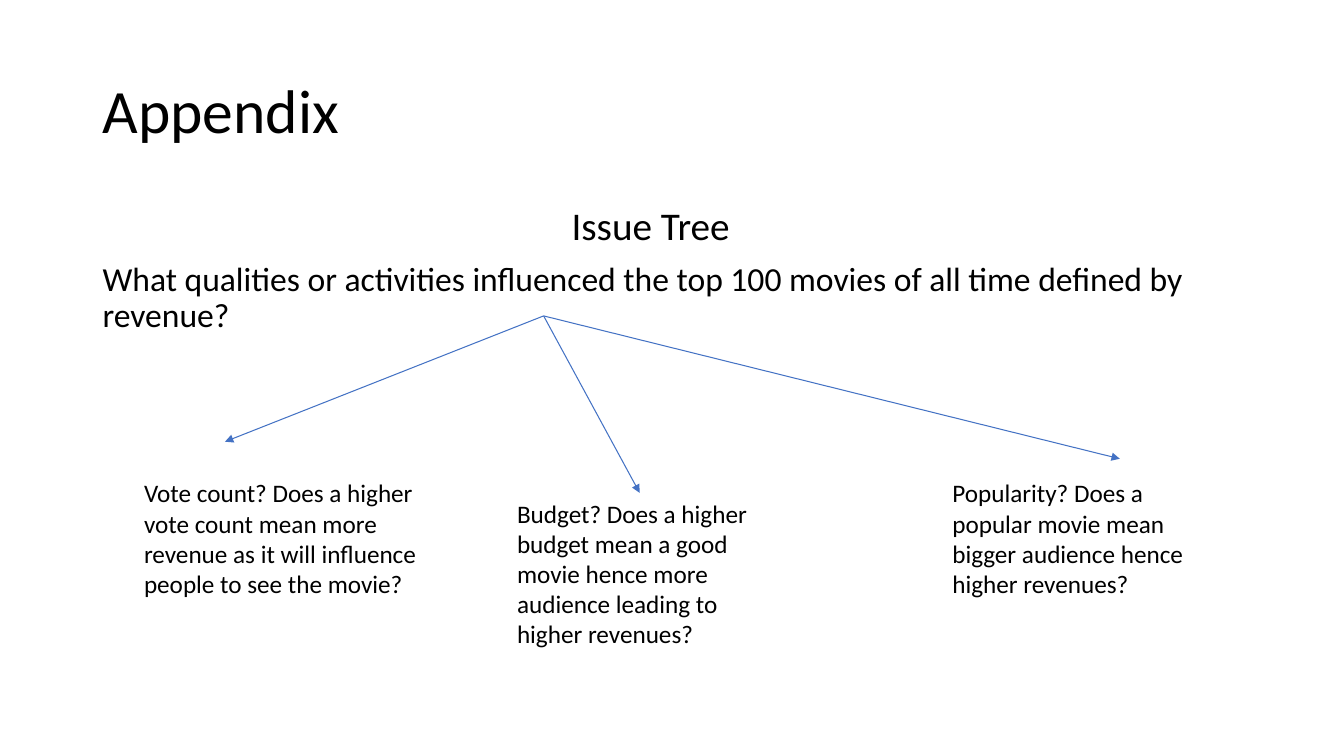
"""Build the appendix slide with an issue tree of three questions."""
from dataclasses import dataclass

from lxml.etree import SubElement
from pptx import Presentation
from pptx.dml.color import RGBColor
from pptx.enum.shapes import MSO_CONNECTOR
from pptx.enum.text import MSO_ANCHOR, MSO_AUTO_SIZE, PP_ALIGN
from pptx.oxml.ns import qn
from pptx.util import Cm, Pt


@dataclass(frozen=True)
class Theme:
    font: str = "Calibri"
    ink: RGBColor = RGBColor(0, 0, 0)
    line: RGBColor = RGBColor(0x44, 0x72, 0xC4)
    title: Pt = Pt(44)
    head: Pt = Pt(28)
    lead: Pt = Pt(24)
    note: Pt = Pt(18)
    rule: Pt = Pt(0.75)


theme = Theme()


def place(shape, left, top, width, height):
    shape.left, shape.top = Cm(left), Cm(top)
    shape.width, shape.height = Cm(width), Cm(height)


def style(para, size, lead=1.0, gap=0):
    para.alignment = PP_ALIGN.LEFT
    para.line_spacing = lead
    para.space_before = Pt(gap)
    for run in para.runs:
        run.font.name = theme.font
        run.font.size = size
        run.font.color.rgb = theme.ink


deck = Presentation()
deck.slide_width, deck.slide_height = Cm(33.87), Cm(19.05)
slide = deck.slides.add_slide(deck.slide_layouts[1])

title = slide.shapes.title
place(title, 2.33, 1.01, 29.21, 3.68)
title.text_frame.text = "Appendix"
title.text_frame.vertical_anchor = MSO_ANCHOR.MIDDLE
style(title.text_frame.paragraphs[0], theme.title, 0.9)

body = slide.placeholders[1]
place(body, 2.33, 5.07, 29.21, 12.09)
frame = body.text_frame
frame.auto_size = MSO_AUTO_SIZE.NONE
frame.text = (
    "Issue Tree\n"
    "What qualities or activities influenced the top 100 movies "
    "of all time defined by revenue?"
)
looks = [(theme.head, 0, 11.82), (theme.lead, 10, 0)]
for para, (size, gap, inset) in zip(frame.paragraphs, looks):
    style(para, size, 0.9, gap)
    props = para._p.get_or_add_pPr()
    props.set("marL", str(Cm(inset)))
    props.set("indent", "0")
    SubElement(props, qn("a:buNone"))

root = Cm(13.7), Cm(7.96)
tips = [(5.67, 11.13), (16.12, 12.42), (28.22, 11.56)]
for x, y in tips:
    arrow = slide.shapes.add_connector(MSO_CONNECTOR.STRAIGHT, *root, Cm(x), Cm(y))
    arrow.line.color.rgb = theme.line
    arrow.line.width = theme.rule
    SubElement(arrow.line._get_or_add_ln(), qn("a:tailEnd"), type="triangle")
    SubElement(arrow._element.spPr, qn("a:effectLst"))

notes = [
    (3.38, 11.91, 7.7, 3.33, "Vote count? Does a higher vote count mean more "
     "revenue as it will influence people to see the movie?"),
    (12.78, 12.42, 6.3, 4.88, "Budget? Does a higher budget mean a good movie "
     "hence more audience leading to higher revenues?"),
    (23.75, 11.91, 6.91, 3.33, "Popularity? Does a popular movie mean bigger "
     "audience hence higher revenues?"),
]
for left, top, width, height, words in notes:
    note = slide.shapes.add_textbox(Cm(left), Cm(top), Cm(width), Cm(height))
    note.text_frame.word_wrap = True
    note.text_frame.auto_size = MSO_AUTO_SIZE.SHAPE_TO_FIT_TEXT
    note.text_frame.text = words
    style(note.text_frame.paragraphs[0], theme.note)

deck.save("out.pptx")
